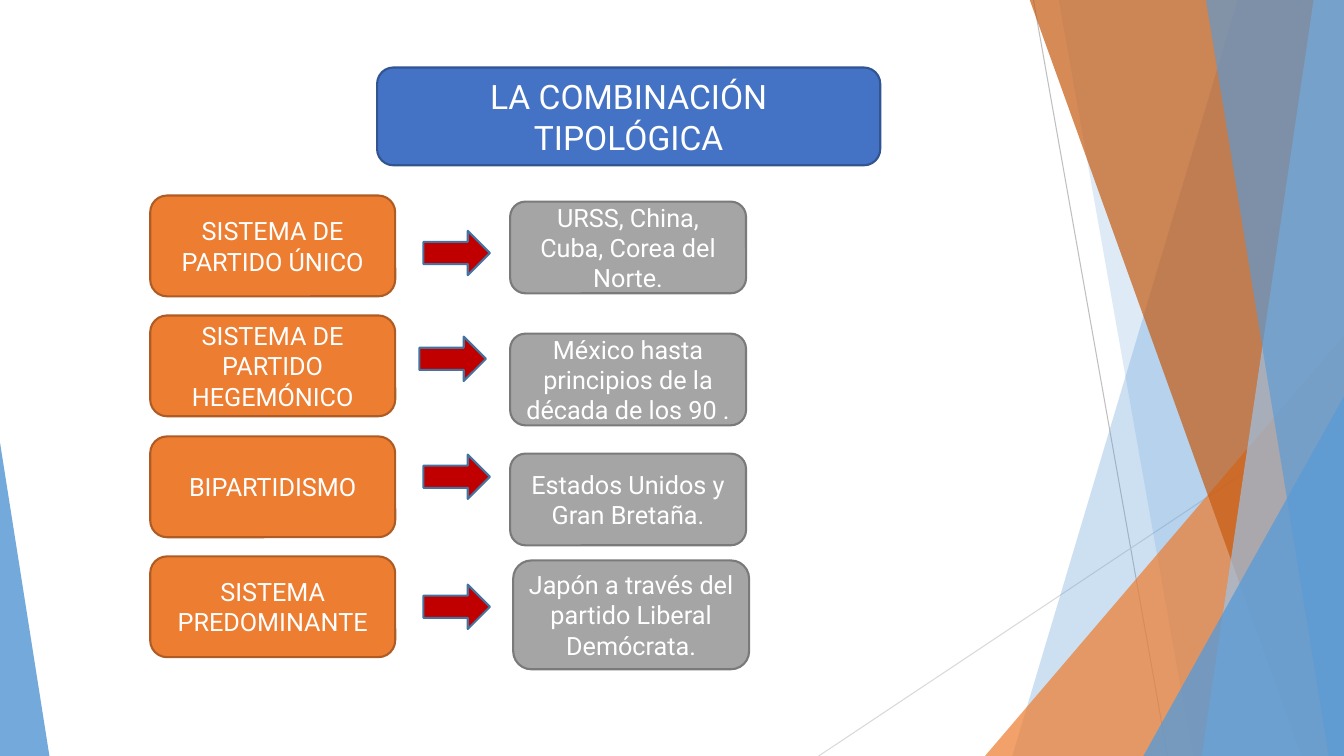
from lxml import etree
from pptx import Presentation
from pptx.dml.color import RGBColor
from pptx.enum import shapes, text
from pptx.oxml import ns
from pptx.util import Inches, Pt

WIDTH, HEIGHT = 13.33, 7.5
FONT = "Roboto"
SHAPE = shapes.MSO_SHAPE

# Party system, its top; arrow left and top; example, its left, top and height
SYSTEMS = [
    ("SISTEMA DE PARTIDO ÚNICO", 1.94, 4.2, 2.29,
     "URSS, China, Cuba, Corea del Norte.", 5.06, 2, 0.91),
    ("SISTEMA DE PARTIDO HEGEMÓNICO", 3.13, 4.16, 3.34,
     "México hasta principios de la década de los 90 .", 5.06, 3.31, 0.91),
    ("BIPARTIDISMO", 4.33, 4.2, 4.51,
     "Estados Unidos y Gran Bretaña.", 5.06, 4.5, 0.91),
    ("SISTEMA PREDOMINANTE", 5.52, 4.2, 5.8,
     "Japón a través del partido Liberal Demócrata.", 5.09, 5.56, 1.08),
]


def color(value):
    return RGBColor.from_string(value)


def set_fill(shape, value, opacity=100):
    shape.shadow.inherit = False
    shape.fill.solid()
    shape.fill.fore_color.rgb = color(value)
    if opacity < 100:
        solid = shape.fill._xPr.find(ns.qn("a:solidFill"))
        etree.SubElement(solid[0], ns.qn("a:alpha"), val=str(opacity * 1000))


def add_hairline(slide, start, end, value):
    line = slide.shapes.add_connector(
        shapes.MSO_CONNECTOR.STRAIGHT, *map(Inches, start + end))
    line.line.color.rgb = color(value)
    line.line.width = Pt(0.75)
    etree.SubElement(line._element.spPr, ns.qn("a:effectLst"))


def add_facet(slide, top_x, bottom_x, value, opacity):
    """Panel from a slanted left edge to the right edge of the slide."""
    corners = [(WIDTH, -0.01), (WIDTH, HEIGHT), (bottom_x, HEIGHT)]
    builder = slide.shapes.build_freeform(Inches(top_x), Inches(-0.01))
    builder.add_line_segments([(Inches(x), Inches(y)) for x, y in corners])
    facet = builder.convert_to_shape()
    set_fill(facet, value, opacity)
    facet.line.fill.background()


def add_corner(slide, left, top, width, apex, value, opacity):
    """Triangle standing on the bottom edge of the slide."""
    corner = slide.shapes.add_shape(
        SHAPE.ISOSCELES_TRIANGLE,
        *map(Inches, (left, top, width, HEIGHT - top)))
    corner.adjustments[0] = apex
    set_fill(corner, value, opacity)
    corner.line.fill.background()


def add_outlined(slide, kind, box, fill, outline):
    shape = slide.shapes.add_shape(kind, *map(Inches, box))
    set_fill(shape, fill)
    shape.line.color.rgb = color(outline)
    shape.line.width = Pt(1.5)
    return shape


def add_label(slide, box, wording, fill, outline, size=18):
    shape = add_outlined(slide, SHAPE.ROUNDED_RECTANGLE, box, fill, outline)
    frame = shape.text_frame
    frame.text = wording
    frame.word_wrap = True
    frame.vertical_anchor = text.MSO_ANCHOR.MIDDLE
    paragraph = frame.paragraphs[0]
    paragraph.alignment = text.PP_ALIGN.CENTER
    font = paragraph.runs[0].font
    font.name = FONT
    font.size = Pt(size)
    font.color.rgb = color("FFFFFF")


def add_backdrop(slide):
    add_hairline(slide, (10.25, 0), (11.58, HEIGHT), "BFBFBF")
    add_hairline(slide, (WIDTH, 4.03), (8.12, HEIGHT), "D9D9D9")
    add_facet(slide, 12.28, 10.04, "5B9BD5", 30)
    add_facet(slide, 10.5, 11.83, "5B9BD5", 20)
    add_corner(slide, 9.77, 3.33, 3.56, 1, "ED7D31", 72)
    add_facet(slide, 10.21, 12.91, "C55A11", 70)
    add_facet(slide, 13.03, 11.92, "9DC3E6", 70)
    add_facet(slide, 11.96, 13.18, "5B9BD5", 65)
    add_corner(slide, 11.34, 3.93, 1.99, 1, "5B9BD5", 80)
    add_corner(slide, 0, 4.39, 0.49, 0, "5B9BD5", 85)


def main():
    presentation = Presentation()
    presentation.slide_width = Inches(WIDTH)
    presentation.slide_height = Inches(HEIGHT)
    slide = presentation.slides.add_slide(presentation.slide_layouts[6])

    add_backdrop(slide)

    # Title
    add_label(slide, (3.74, 0.67, 4.99, 0.97), "LA COMBINACIÓN TIPOLÓGICA",
              "4472C4", "325491", 24)

    # Each party system points to its examples
    for (system, system_top, arrow_left, arrow_top,
         example, example_left, example_top, example_height) in SYSTEMS:
        add_label(slide, (1.49, system_top, 2.43, 1), system,
                  "ED7D31", "AF5C24")
        add_label(slide, (example_left, example_top, 2.34, example_height),
                  example, "A5A5A5", "7A7A7A")
        add_outlined(slide, SHAPE.RIGHT_ARROW,
                     (arrow_left, arrow_top, 0.66, 0.44), "C00000", "43739E")

    presentation.save("out.pptx")


if __name__ == "__main__":
    main()
